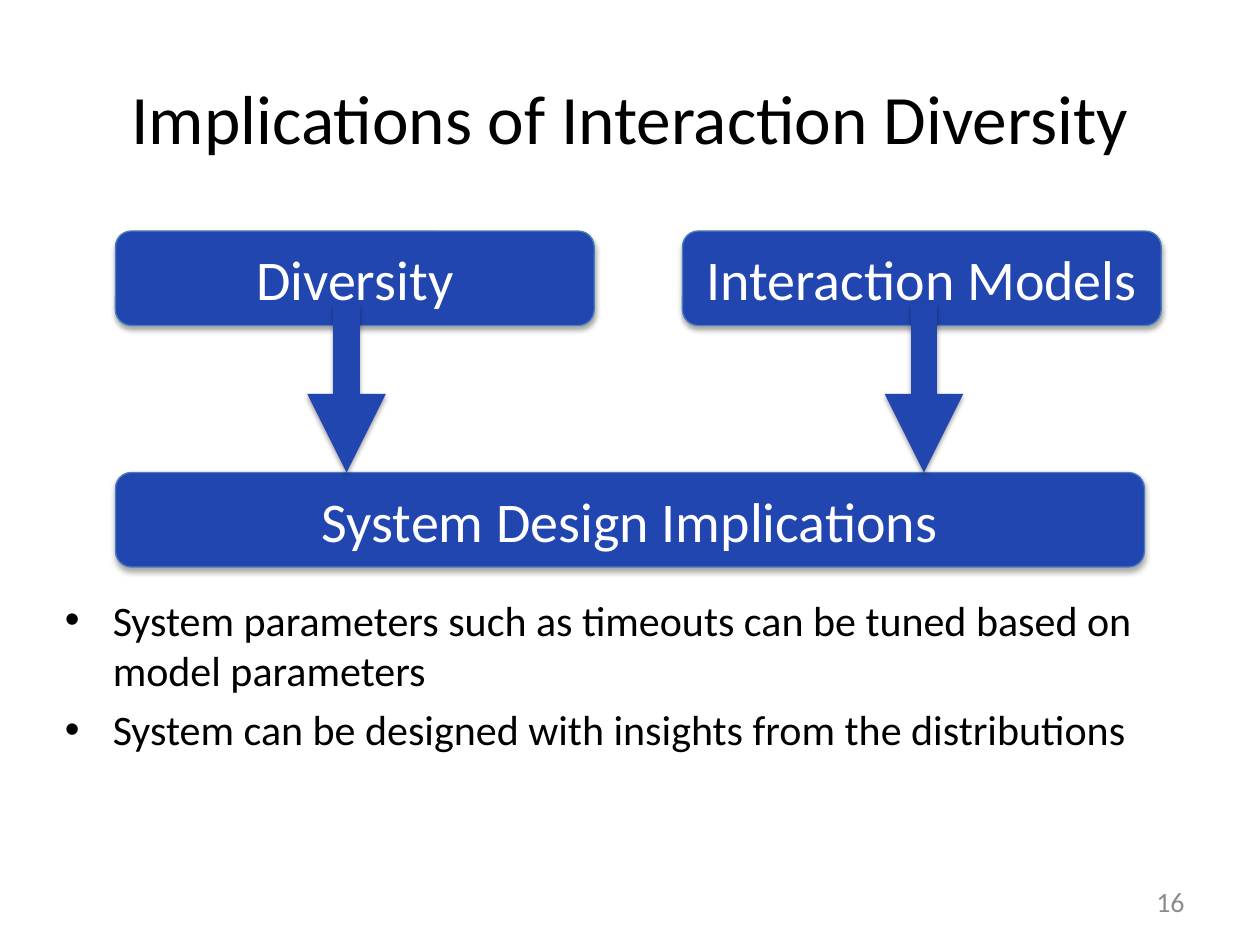
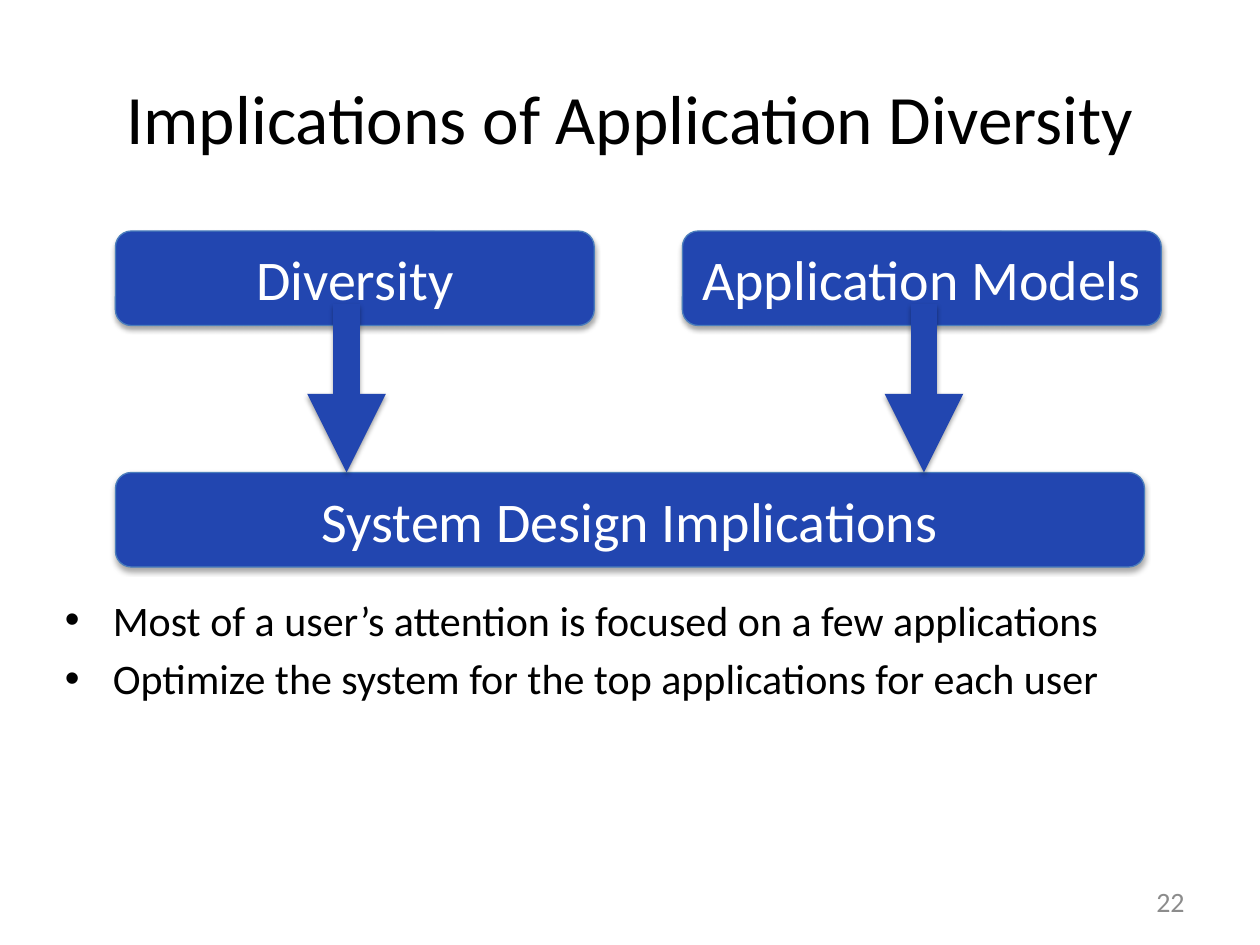
from lxml.etree import SubElement
from pptx import Presentation
from pptx.dml.color import RGBColor
from pptx.enum.shapes import MSO_CONNECTOR, MSO_SHAPE
from pptx.enum.text import MSO_ANCHOR, PP_ALIGN
from pptx.oxml.ns import qn
from pptx.util import Inches, Pt

COLORS = {
    "ink": "000000",
    "band": "2246B0",
    "band_edge": "4B7EBC",
    "on_band": "FFFFFF",
    "page_number": "8C8C8C",
}
FONT = "Calibri"
CELL = Inches(10) // 120
BAND_ROWS = 9
INDENT = Inches(0.38)
FLOW_COLUMNS = (33, 88)
IMPLICATIONS_ROW = 45

TOPICS = [
    {
        "title": "Implications of Interaction Diversity",
        "models": "Interaction Models",
        "points": [
            "System parameters such as timeouts can be tuned based on model parameters",
            "System can be designed with insights from the distributions",
        ],
        "point_rows": 21,
        "page": "16",
    },
    {
        "title": "Implications of Application Diversity",
        "models": "Application Models",
        "points": [
            "Most of a user’s attention is focused on a few applications",
            "Optimize the system for the top applications for each user",
        ],
        "point_rows": 15,
        "page": "22",
    },
]


def write(holder, *lines, size, color="ink", align=PP_ALIGN.CENTER,
          anchor=MSO_ANCHOR.MIDDLE, bullet=None):
    frame = holder.text_frame
    frame.word_wrap = True
    frame.vertical_anchor = anchor
    for number, line in enumerate(lines):
        paragraph = frame.add_paragraph() if number else frame.paragraphs[0]
        paragraph.text = line
        paragraph.alignment = align
        if number:
            paragraph.space_before = Pt(size * 0.2)
        if bullet:
            properties = paragraph._p.get_or_add_pPr()
            properties.set("marL", str(INDENT))
            properties.set("indent", str(-INDENT))
            SubElement(properties, qn("a:buFont"), typeface="Arial")
            SubElement(properties, qn("a:buChar"), char=bullet)
        paragraph.font.name = FONT
        paragraph.font.size = Pt(size)
        paragraph.font.color.rgb = RGBColor.from_string(COLORS[color])


def cast_shadow(item, distance, opacity):
    effects = SubElement(item._element.spPr, qn("a:effectLst"))
    shadow = SubElement(effects, qn("a:outerShdw"), blurRad=str(Pt(3.1)),
                        dist=str(Pt(distance)), dir="5400000", rotWithShape="0")
    tint = SubElement(shadow, qn("a:srgbClr"), val=COLORS["ink"])
    SubElement(tint, qn("a:alpha"), val=str(opacity * 1000))


deck = Presentation()
deck.slide_width = 120 * CELL
deck.slide_height = 90 * CELL

for topic in TOPICS:
    slide = deck.slides.add_slide(deck.slide_layouts[6])

    title = slide.shapes.add_textbox(6 * CELL, Inches(0.3), 108 * CELL, 15 * CELL)
    write(title, topic["title"], size=39.6)

    page = slide.shapes.add_textbox(86 * CELL, Inches(6.95), 28 * CELL, Inches(0.4))
    write(page, topic["page"], size=16, color="page_number", align=PP_ALIGN.RIGHT)

    points = slide.shapes.add_textbox(5 * CELL, 56 * CELL, 110 * CELL,
                                      topic["point_rows"] * CELL)
    write(points, *topic["points"], size=24, align=PP_ALIGN.LEFT,
          anchor=MSO_ANCHOR.TOP, bullet="•")

    for label, column, row, width in (
        ("Diversity", 11, 22, Inches(3.8)),
        (topic["models"], 65, 22, Inches(3.8)),
        ("System Design Implications", 11, IMPLICATIONS_ROW, 98 * CELL),
    ):
        band = slide.shapes.add_shape(MSO_SHAPE.ROUNDED_RECTANGLE, column * CELL,
                                      row * CELL, width, BAND_ROWS * CELL)
        band.fill.solid()
        band.fill.fore_color.rgb = RGBColor.from_string(COLORS["band"])
        band.line.color.rgb = RGBColor.from_string(COLORS["band_edge"])
        band.line.width = Pt(0.75)
        cast_shadow(band, distance=1.8, opacity=35)
        write(band, label, size=32, color="on_band")

    for column in FLOW_COLUMNS:
        flow = slide.shapes.add_connector(MSO_CONNECTOR.STRAIGHT, column * CELL, 29 * CELL,
                                          column * CELL, IMPLICATIONS_ROW * CELL)
        flow.line.color.rgb = RGBColor.from_string(COLORS["band"])
        flow.line.width = Pt(15)
        SubElement(flow._element.spPr.find(qn("a:ln")), qn("a:tailEnd"), type="triangle")
        cast_shadow(flow, distance=1.6, opacity=38)

deck.save("out.pptx")
